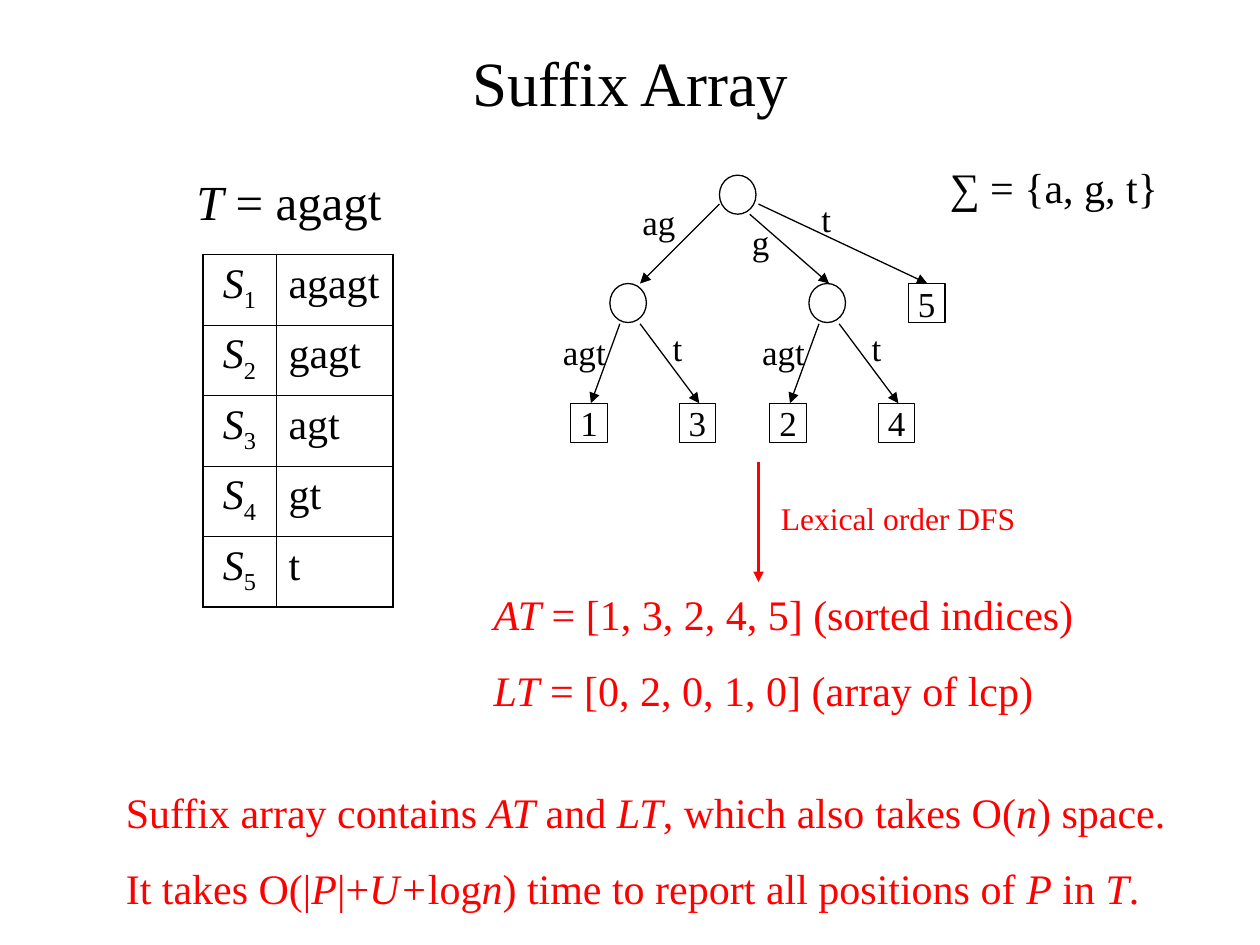
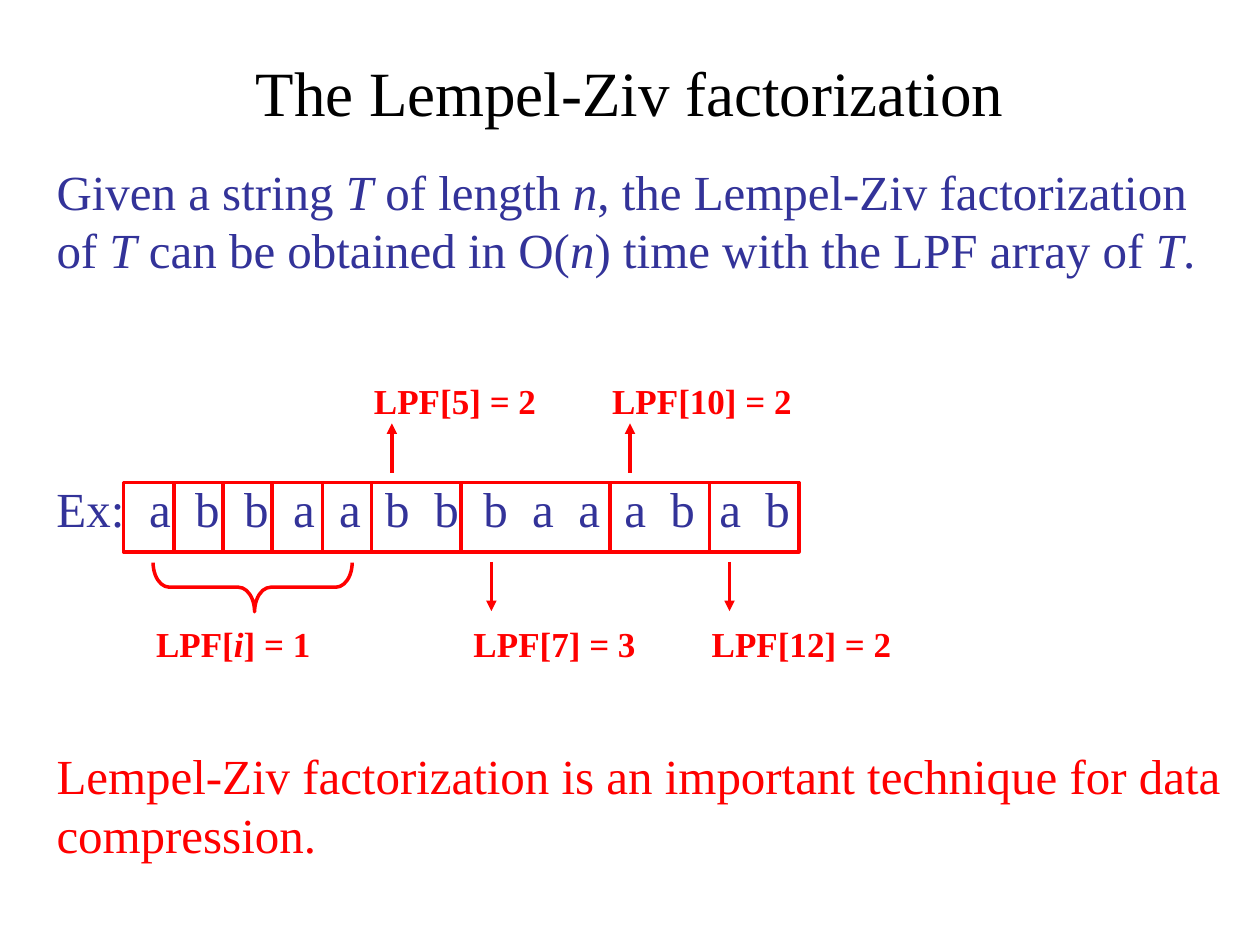
from itertools import accumulate, pairwise

from lxml import etree
from pptx import Presentation
from pptx.dml.color import RGBColor
from pptx.enum.shapes import MSO_CONNECTOR, MSO_SHAPE
from pptx.enum.text import MSO_ANCHOR, PP_ALIGN
from pptx.oxml.ns import qn
from pptx.util import Inches, Pt

OVAL, RECT, BRACE = MSO_SHAPE.OVAL, MSO_SHAPE.RECTANGLE, MSO_SHAPE.LEFT_BRACE
STRAIGHT = MSO_CONNECTOR.STRAIGHT
LEFT, CENTER = PP_ALIGN.LEFT, PP_ALIGN.CENTER
TOP, MIDDLE = MSO_ANCHOR.TOP, MSO_ANCHOR.MIDDLE
FONT = "Times New Roman"
BLACK, RED, BLUE = "000000", "FF0000", "333399"
NODE_W, NODE_H = 0.29, 0.31
LEVEL_DROP = 0.95
LETTER_EMS = {"a": 0.44, "b": 0.5}


def rgb(value):
    """Turn a hex string into a colour."""
    return RGBColor.from_string(value)


def add_run(paragraph, text, size, color, **formats):
    """Add one run with the shared font."""
    run = paragraph.add_run()
    run.text = text
    run.font.color.rgb = rgb(color)
    for name, value in {"name": FONT, "size": Pt(size), **formats}.items():
        setattr(run.font, name, value)
    return run


def write(paragraph, text, size, color, align=LEFT, bold=False):
    """Write text into a paragraph, with asterisks toggling italics."""
    paragraph.alignment = align
    for i, part in enumerate(text.split("*")):
        if part:
            add_run(paragraph, part, size, color, bold=bold, italic=i % 2 == 1)


def add_text(slide, box, lines, size, color=BLACK, align=LEFT, anchor=TOP,
             bold=False, wrap=True, gap=0):
    """Add a text box with one paragraph for each line."""
    frame = slide.shapes.add_textbox(*map(Inches, box)).text_frame
    frame.word_wrap, frame.vertical_anchor = wrap, anchor
    for i, line in enumerate(lines):
        paragraph = frame.add_paragraph() if i else frame.paragraphs[0]
        if i:
            paragraph.space_before = Pt(gap)
        write(paragraph, line, size, color, align, bold)
    return frame


def add_title(slide, text, height):
    """Add the slide title."""
    add_text(slide, (0.5, 0.3, 9, height), [text], 36, align=CENTER, anchor=MIDDLE)


def add_outline(slide, kind, box, color=BLACK, width=0.75):
    """Add an unfilled preset shape."""
    shape = slide.shapes.add_shape(kind, *map(Inches, box))
    shape.shadow.inherit = False
    shape.fill.background()
    shape.line.color.rgb = rgb(color)
    shape.line.width = Pt(width)
    return shape


def add_arrow(slide, start, end, color=BLACK, width=0.75):
    """Add a straight arrow from start to end."""
    arrow = slide.shapes.add_connector(STRAIGHT, *map(Inches, (*start, *end)))
    arrow.line.color.rgb = rgb(color)
    arrow.line.width = Pt(width)
    properties = arrow.element.spPr
    etree.SubElement(properties.find(qn("a:ln")), qn("a:tailEnd"), type="triangle")
    etree.SubElement(properties, qn("a:effectLst"))


def set_border(cell, index, side, width):
    """Draw one side of a cell's border."""
    line = etree.Element(qn(f"a:ln{side}"), w=str(Pt(width)))
    fill = etree.SubElement(line, qn("a:solidFill"))
    etree.SubElement(fill, qn("a:srgbClr"), val=BLACK)
    cell._tc.get_or_add_tcPr().insert(index, line)


def add_suffix_table(slide, left, top, text):
    """List every suffix of the text beside its name."""
    count, row_height, widths = len(text), 0.56, (0.58, 0.93)
    table = slide.shapes.add_table(count, 2, Inches(left), Inches(top), Inches(sum(widths)),
                                   Inches(count * row_height)).table
    table.first_row = table.horz_banding = False
    for column, width in zip(table.columns, widths):
        column.width = Inches(width)
    for i, row in enumerate(table.rows):
        row.height = Inches(row_height)
        name, suffix = row.cells
        write(name.text_frame.paragraphs[0], "*S*", 24, BLACK, CENTER)
        index = add_run(name.text_frame.paragraphs[0], str(i + 1), 24, BLACK)
        index._r.get_or_add_rPr().set("baseline", "-25000")
        write(suffix.text_frame.paragraphs[0], text[i:], 24, BLACK)
        for cell in (name, suffix):
            cell.fill.background()
            outer = {"L": cell is name, "R": cell is suffix, "T": i == 0, "B": i == count - 1}
            for position, (side, is_outer) in enumerate(outer.items()):
                set_border(cell, position, side, 1.08 if is_outer else 0.45)


def add_leaf(slide, left, top, label):
    """Add a numbered leaf of the suffix tree."""
    frame = add_outline(slide, RECT, (left, top, NODE_W, NODE_H)).text_frame
    frame.word_wrap, frame.vertical_anchor = False, MIDDLE
    write(frame.paragraphs[0], label, 20, BLACK, CENTER)


def add_edge(slide, left, top, start, end, label, label_at, label_width):
    """Add a labelled tree edge, placed relative to its parent node."""
    add_arrow(slide, (left + start[0], top + start[1]), (left + end[0], top + end[1]))
    add_text(slide, (left + label_at[0], top + label_at[1], label_width, 0.44), [label], 20,
             wrap=False)


def add_subtree(slide, left, top, leaves):
    """Add an inner node with its two leaves."""
    add_outline(slide, OVAL, (left, top, NODE_W, NODE_H))
    add_edge(slide, left, top, (0.08, 0.32), (-0.15, LEVEL_DROP), "agt", (-0.47, 0.32), 0.54)
    add_edge(slide, left, top, (0.24, 0.32), (0.71, LEVEL_DROP), "t", (0.4, 0.29), 0.27)
    for offset, leaf in zip((-0.31, 0.55), leaves):
        add_leaf(slide, left + offset, top + LEVEL_DROP, leaf)


def add_suffix_tree(slide, left, top):
    """Add the suffix tree with its root at the given place."""
    drop = 0.86
    add_outline(slide, OVAL, (left, top, NODE_W, NODE_H))
    add_edge(slide, left, top, (0, 0.23), (-0.63, drop), "ag", (-0.71, 0.15), 0.46)
    add_edge(slide, left, top, (0.24, 0.31), (0.87, drop), "g", (0.16, 0.31), 0.33)
    add_edge(slide, left, top, (0.31, 0.23), (1.65, drop), "t", (0.71, 0.13), 0.27)
    add_subtree(slide, left - 0.87, top + drop, "13")
    add_subtree(slide, left + 0.71, top + drop, "24")
    add_leaf(slide, left + 1.5, top + drop, "5")


def build_suffix_array(slide):
    """Build the suffix array slide."""
    add_title(slide, "Suffix Array", 0.69)
    add_suffix_table(slide, 1.61, 2.02, "agagt")
    add_text(slide, (1.46, 1.31, 1.73, 0.57), ["*T* = agagt"], 28)
    add_text(slide, (0.9, 6.19, 8.51, 1.11), [
        "Suffix array contains *AT* and *LT*, which also takes O(*n*) space.",
        "It takes O(|*P*|+*U+*log*n*) time to report all positions of *P* in *T*.",
    ], 24, RED, gap=15)
    add_suffix_tree(slide, 5.71, 1.39)
    add_text(slide, (7.44, 1.23, 2.2, 0.5), ["*∑ *= {a, g, t}"], 24)
    add_text(slide, (3.82, 4.62, 4.88, 1.11), [
        "*AT* = [1, 3, 2, 4, 5] (sorted indices)",
        "*LT* = [0, 2, 0, 1, 0] (array of lcp)",
    ], 24, RED, gap=15)
    add_arrow(slide, (6.02, 3.67), (6.02, 4.62), RED, 2)
    add_text(slide, (6.1, 3.91, 2.13, 0.4), ["Lexical order DFS"], 18, RED)


def add_example_string(slide, left, top, letters, size=28):
    """Write the example with a tab stop at each letter."""
    frame = add_text(slide, (left, top, 7, 0.55), [], size)
    paragraph = frame.paragraphs[0]
    tabs = etree.SubElement(paragraph._p.get_or_add_pPr(), qn("a:tabLst"))
    steps = [LETTER_EMS[letter] + 0.5 for letter in letters[:-1]]
    for stop in accumulate(steps, initial=1.89):
        etree.SubElement(tabs, qn("a:tab"), pos=str(Pt(stop * size)), algn="l")
    write(paragraph, "\t".join(["Ex:", *letters]), size, BLUE)


def add_lpf_label(slide, left, top, text, width=1.73):
    """Add a bold LPF value."""
    add_text(slide, (left, top, width, 0.44), [text], 20, RED, bold=True)


def add_factors(slide, left, top):
    """Frame the factors and mark each with its LPF value."""
    edges = (0, 0.4, 0.79, 1.18, 1.58, 1.97, 2.68, 3.86, 4.65, 5.36)
    for start, end in pairwise(edges):
        add_outline(slide, RECT, (left + start, top, end - start, 0.55), RED, 2)
    above, below = (-0.08, -0.47, -0.87), (0.63, 1.02, 1.06)
    marks = ((2.13, above, "LPF[5] = 2"), (4.02, above, "LPF[10] = 2"),
             (2.92, below, "LPF[7] = 3"), (4.81, below, "LPF[12] = 2"))
    for offset, (tail, head, label), text in marks:
        x = left + offset
        add_arrow(slide, (x, top + tail), (x, top + head), RED, 2)
        add_lpf_label(slide, x - 0.24, top + label, text)
    brace = add_outline(slide, BRACE, (left + 0.83, top + 0.04, 0.39, 1.58), RED, 2)
    brace.rotation = 270
    brace.adjustments[0], brace.adjustments[1] = 0.33, 0.51
    add_lpf_label(slide, left + 0.16, top + 1.06, "LPF[*i*] = 1")


def build_factorization(slide):
    """Build the factorization slide."""
    add_title(slide, "The Lempel-Ziv factorization", 0.85)
    add_text(slide, (0.35, 1.23, 9.45, 1), [
        "Given a string *T* of length *n*, the Lempel-Ziv factorization of *T* "
        "can be obtained in O(*n*) time with the LPF array of *T*."], 28, BLUE)
    add_example_string(slide, 0.35, 3.75, "abbaabbbaaabab")
    add_text(slide, (0.35, 5.87, 9.45, 1), [
        "Lempel-Ziv factorization is an important technique for data compression."], 28, RED)
    add_factors(slide, 0.98, 3.83)


def main():
    """Build and save the slides."""
    deck = Presentation()
    deck.slide_width, deck.slide_height = Inches(10), Inches(7.5)
    for build in (build_suffix_array, build_factorization):
        build(deck.slides.add_slide(deck.slide_layouts[6]))
    deck.save("out.pptx")


if __name__ == "__main__":
    main()
